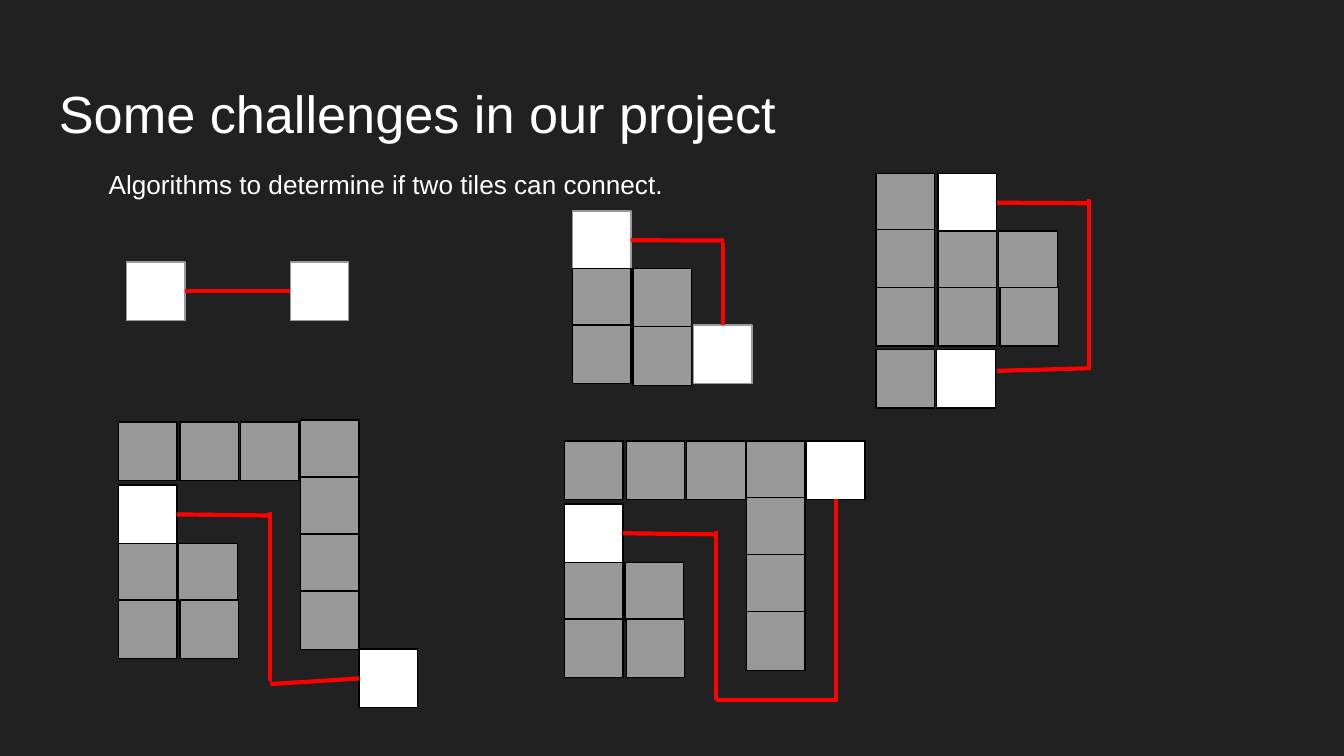
import pptx
import pptx.dml.color
import pptx.enum.shapes
import pptx.enum.text
import pptx.oxml.ns
import pptx.util

Pt = pptx.util.Pt
ANCHOR = pptx.enum.text.MSO_ANCHOR

# Content: tiles are (x, y); routes are (x1, y1, x2, y2), in points
BACKGROUND, WHITE, GRAY, BLACK, RED = "212121", "FFFFFF", "999999", "000000", "FF0000"
TITLE = "Some challenges in our project"
SUBTITLE = "Algorithms to determine if two tiles can connect."
TILE = 31.4
WALL_X, WALL_STEP = 97.6, 30.5

straight = dict(
    edge=GRAY, ends=[(67.7, 140.4), (155.5, 140.4)], blocks=[],
    routes=[(99.1, 156.1, 155.5, 156.1)])
one_turn = dict(
    edge=GRAY, ends=[(306.7, 113), (371.5, 174.2)],
    blocks=[(306.7, 144), (339.1, 144), (339.1, 175), (306.7, 174.2)],
    routes=[(338.1, 128.7, 388, 128.9), (387.2, 174.2, 387.2, 130.3)])
two_turns = dict(
    edge=BLACK, ends=[(502.6, 92.9), (501.8, 187.2)],
    blocks=[(502.6, 123.8), (535, 123.8), (535.7, 154.1), (502.6, 154.1),
            (469.4, 92.9), (469.4, 123.1), (469.4, 154.1), (469.4, 187.2)],
    routes=[(533.8, 108.3, 583.2, 108.9), (583.2, 198, 583.2, 106.6),
            (583.2, 197.3, 534.2, 198.7)])


def walled_board(left, top, wall_top, goal, last_routes):
    """Board with a top row and a wall; positions are relative to its corner."""
    blocks = [(0, 65.2), (32.4, 65.2), (33.1, 95.4), (0, 95.4)]
    blocks += [(WALL_X, wall_top + WALL_STEP * i) for i in range(4)]
    blocks += [(33.1, 0), (0, 0), (65.5, 0)]
    routes = [(31.4, 49.5, 81.4, 50.1), (81.4, 139, 81.4, 48.2)] + last_routes
    return dict(
        edge=BLACK,
        ends=[(left + x, top + y) for x, y in [(0, 33.8), goal]],
        blocks=[(left + x, top + y) for x, y in blocks],
        routes=[(left + a, top + b, left + c, top + d) for a, b, c, d in routes])


BOARDS = [
    straight, one_turn, two_turns,
    walled_board(63.4, 226.1, -1, (128.9, 121.7), [(128.9, 137.4, 81.4, 140.4)]),
    walled_board(302.4, 236.2, 0, (129.6, 0),
                 [(144.7, 139, 81.4, 139), (145.3, 31.4, 145.3, 139.7)]),
]

deck = pptx.Presentation()
deck.slide_width, deck.slide_height = Pt(720), Pt(405)
slide = deck.slides.add_slide(deck.slide_layouts[6])


def color(value):
    return pptx.dml.color.RGBColor.from_string(value)


def add_text(text, left, top, width, height, size, anchor=ANCHOR.TOP):
    frame = slide.shapes.add_textbox(Pt(left), Pt(top), Pt(width), Pt(height)).text_frame
    frame.word_wrap = True
    frame.vertical_anchor = anchor
    frame.margin_left = frame.margin_right = Pt(7.2)
    frame.margin_top = frame.margin_bottom = Pt(7.2)
    line = frame.paragraphs[0]
    line.line_spacing = 1.15
    run = line.add_run()
    run.text = text
    run.font.name, run.font.size = "Arial", Pt(size)
    run.font.color.rgb = color(WHITE)


def add_tile(x, y, fill, edge):
    tile = slide.shapes.add_shape(
        pptx.enum.shapes.MSO_SHAPE.RECTANGLE, Pt(x), Pt(y), Pt(TILE), Pt(TILE))
    tile.shadow.inherit = False
    tile.fill.solid()
    tile.fill.fore_color.rgb = color(fill)
    tile.line.color.rgb = color(edge)
    tile.line.width = Pt(0.75)
    return tile


def find_side(x, y, ends):
    """Return the end tile and side whose middle lies at the point, if any."""
    half = TILE / 2
    for left, top, tile in ends:
        middles = [(half, 0), (0, half), (half, TILE), (TILE, half)]
        for side, (dx, dy) in enumerate(middles):
            if abs(left + dx - x) < 1 and abs(top + dy - y) < 1:
                return tile, side
    return None


def add_route(x1, y1, x2, y2, ends):
    route = slide.shapes.add_connector(
        pptx.enum.shapes.MSO_CONNECTOR.STRAIGHT, Pt(x1), Pt(y1), Pt(x2), Pt(y2))
    route.line.color.rgb = color(RED)
    route.line.width = Pt(2.25)
    properties = route._element.spPr
    properties.append(properties.makeelement(pptx.oxml.ns.qn("a:effectLst"), {}))
    start, finish = find_side(x1, y1, ends), find_side(x2, y2, ends)
    if start:
        route.begin_connect(*start)
    if finish:
        route.end_connect(*finish)


# Background and text
slide.background.fill.solid()
slide.background.fill.fore_color.rgb = color(BACKGROUND)
add_text(TITLE, 24.5, 35.3, 433.4, 45.4, size=28, anchor=ANCHOR.MIDDLE)
add_text(SUBTITLE, 51.1, 80.6, 350.6, 44.6, size=14)

# Boards: end tiles, blocking tiles, then the route between the ends
for board in BOARDS:
    ends = [(x, y, add_tile(x, y, WHITE, board["edge"])) for x, y in board["ends"]]
    for x, y in board["blocks"]:
        add_tile(x, y, GRAY, BLACK)
    for segment in board["routes"]:
        add_route(*segment, ends)

deck.save("out.pptx")
